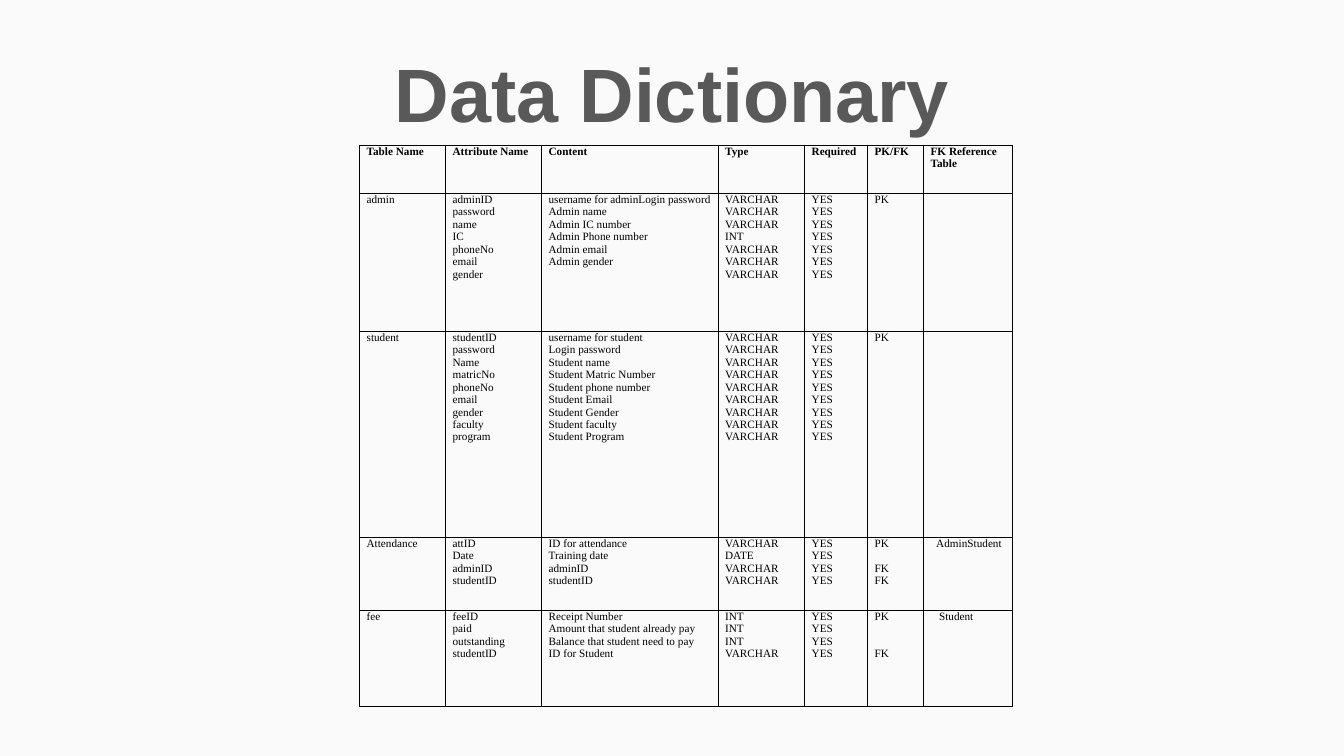
from pptx import Presentation
from pptx.dml.color import RGBColor
from pptx.enum.text import MSO_ANCHOR, PP_ALIGN
from pptx.oxml import parse_xml
from pptx.oxml.ns import nsdecls
from pptx.util import Pt

CENTER, TOP, BOTTOM = PP_ALIGN.CENTER, MSO_ANCHOR.TOP, MSO_ANCHOR.BOTTOM
BACKGROUND = RGBColor(0xFA, 0xFA, 0xFA)
GREY = RGBColor(0x59, 0x59, 0x59)
BLACK = RGBColor(0, 0, 0)
TITLE_ONLY = 5
LINE_HEIGHT = 8.86  # one line of table text
CELL_INSET = 5

TITLE_FONT = {"name": "Arial", "size": Pt(54), "bold": True}
HEAD_FONT = {"name": "Times New Roman", "size": Pt(8), "bold": True}
BODY_FONT = {**HEAD_FONT, "bold": False}

COLUMN_WIDTHS = [61.4, 68.6, 126.1, 61.8, 45, 40, 63.6]
ROW_HEIGHTS = [34.3, 98.6, 147.1, 52.1, 68.6]
HEADINGS = ["Table Name", "Attribute Name", "Content", "Type", "Required",
            "PK/FK", "FK Reference Table"]

# Entity, referenced table, its indent, (attribute, content, type, key)
ENTITIES = [
    ("admin", "", 0, [
        ("adminID", "username for adminLogin password", "VARCHAR", "PK"),
        ("password", "", "VARCHAR", ""),  # content wraps from the line above
        ("name", "Admin name", "VARCHAR", ""),
        ("IC", "Admin IC number", "INT", ""),
        ("phoneNo", "Admin Phone number", "VARCHAR", ""),
        ("email", "Admin email", "VARCHAR", ""),
        ("gender", "Admin gender", "VARCHAR", ""),
    ]),
    ("student", "", 0, [
        ("studentID", "username for student", "VARCHAR", "PK"),
        ("password", "Login password", "VARCHAR", ""),
        ("Name", "Student name", "VARCHAR", ""),
        ("matricNo", "Student Matric Number", "VARCHAR", ""),
        ("phoneNo", "Student phone number", "VARCHAR", ""),
        ("email", "Student Email", "VARCHAR", ""),
        ("gender", "Student Gender", "VARCHAR", ""),
        ("faculty", "Student faculty", "VARCHAR", ""),
        ("program", "Student Program", "VARCHAR", ""),
    ]),
    ("Attendance", "AdminStudent", 4, [
        ("attID", "ID for attendance", "VARCHAR", "PK"),
        ("Date", "Training date", "DATE", ""),
        ("adminID", "adminID", "VARCHAR", "FK"),
        ("studentID", "studentID", "VARCHAR", "FK"),
    ]),
    ("fee", "Student", 6, [
        ("feeID", "Receipt Number", "INT", "PK"),
        ("paid", "Amount that student already pay", "INT", ""),
        ("outstanding", "Balance that student need to pay", "INT", ""),
        ("studentID", "ID for Student", "VARCHAR", "FK"),
    ]),
]


class Deck:
    """Holds the presentation, its style and the current slide."""

    def __init__(self, width, height):
        self.prs = Presentation()
        self.prs.slide_width, self.prs.slide_height = Pt(width), Pt(height)
        self.slide = None

    def add_slide(self):
        layout = self.prs.slide_layouts[TITLE_ONLY]
        self.slide = self.prs.slides.add_slide(layout)
        fill = self.slide.background.fill
        fill.solid()
        fill.fore_color.rgb = BACKGROUND

    def add_text(self, p, text, font, color):
        r = p.add_run()
        r.text = text
        for key, value in font.items():
            setattr(r.font, key, value)
        r.font.color.rgb = color

    def title(self, text, left, top, width, height):
        sp = self.slide.shapes.title
        box = {"left": left, "top": top, "width": width, "height": height}
        for key, value in box.items():
            setattr(sp, key, Pt(value))
        tf = sp.text_frame
        tf.vertical_anchor = BOTTOM
        tf.margin_bottom = Pt(2)
        p = tf.paragraphs[0]
        p.alignment = CENTER
        self.add_text(p, text, TITLE_FONT, GREY)

    def table(self, left, top, widths, heights):
        frame = self.slide.shapes.add_table(
            len(heights), len(widths), Pt(left), Pt(top),
            Pt(sum(widths)), Pt(sum(heights)))
        table = frame.table
        table.first_row = table.horz_banding = False
        for column, width in zip(table.columns, widths):
            column.width = Pt(width)
        for row, height in zip(table.rows, heights):
            row.height = Pt(height)
        return table

    def cell(self, cell, lines, font, indent=0):
        """Fill in lines; an empty line becomes space before the next one."""
        layout = {"margin_left": Pt(CELL_INSET + indent),
                  "margin_right": Pt(CELL_INSET), "margin_top": 0,
                  "margin_bottom": 0, "vertical_anchor": TOP}
        for key, value in layout.items():
            setattr(cell, key, value)
        self.borders(cell)
        cell.fill.background()
        tf = cell.text_frame
        p, skipped = tf.paragraphs[0], 0
        for line in lines:
            if not line:
                skipped += 1
                continue
            if p.runs:
                p = tf.add_paragraph()
            p.space_before = Pt(skipped * LINE_HEIGHT)
            self.add_text(p, line, font, BLACK)
            skipped = 0

    def borders(self, cell):
        tcPr = cell._tc.get_or_add_tcPr()
        for side in ("lnL", "lnR", "lnT", "lnB"):
            tcPr.append(parse_xml(
                f'<a:{side} {nsdecls("a")} w="{Pt(1)}"><a:solidFill>'
                f'<a:srgbClr val="{BLACK}"/></a:solidFill></a:{side}>'))


def main():
    deck = Deck(960, 540)
    deck.add_slide()

    # Title
    deck.title("Data Dictionary", 267, 27.4, 426, 72.7)

    # Table with its heading row
    table = deck.table(256.9, 103.9, COLUMN_WIDTHS, ROW_HEIGHTS)
    for col, heading in enumerate(HEADINGS):
        deck.cell(table.cell(0, col), [heading], HEAD_FONT)

    # One row for each entity
    for row, (name, reference, indent, fields) in enumerate(ENTITIES, 1):
        attributes, contents, types, keys = zip(*fields)
        columns = [[name], attributes, filter(None, contents), types,
                   ["YES"] * len(fields), keys]
        for col, lines in enumerate(columns):
            deck.cell(table.cell(row, col), lines, BODY_FONT)
        deck.cell(table.cell(row, len(columns)), [reference], BODY_FONT, indent)

    deck.prs.save("out.pptx")


if __name__ == "__main__":
    main()
